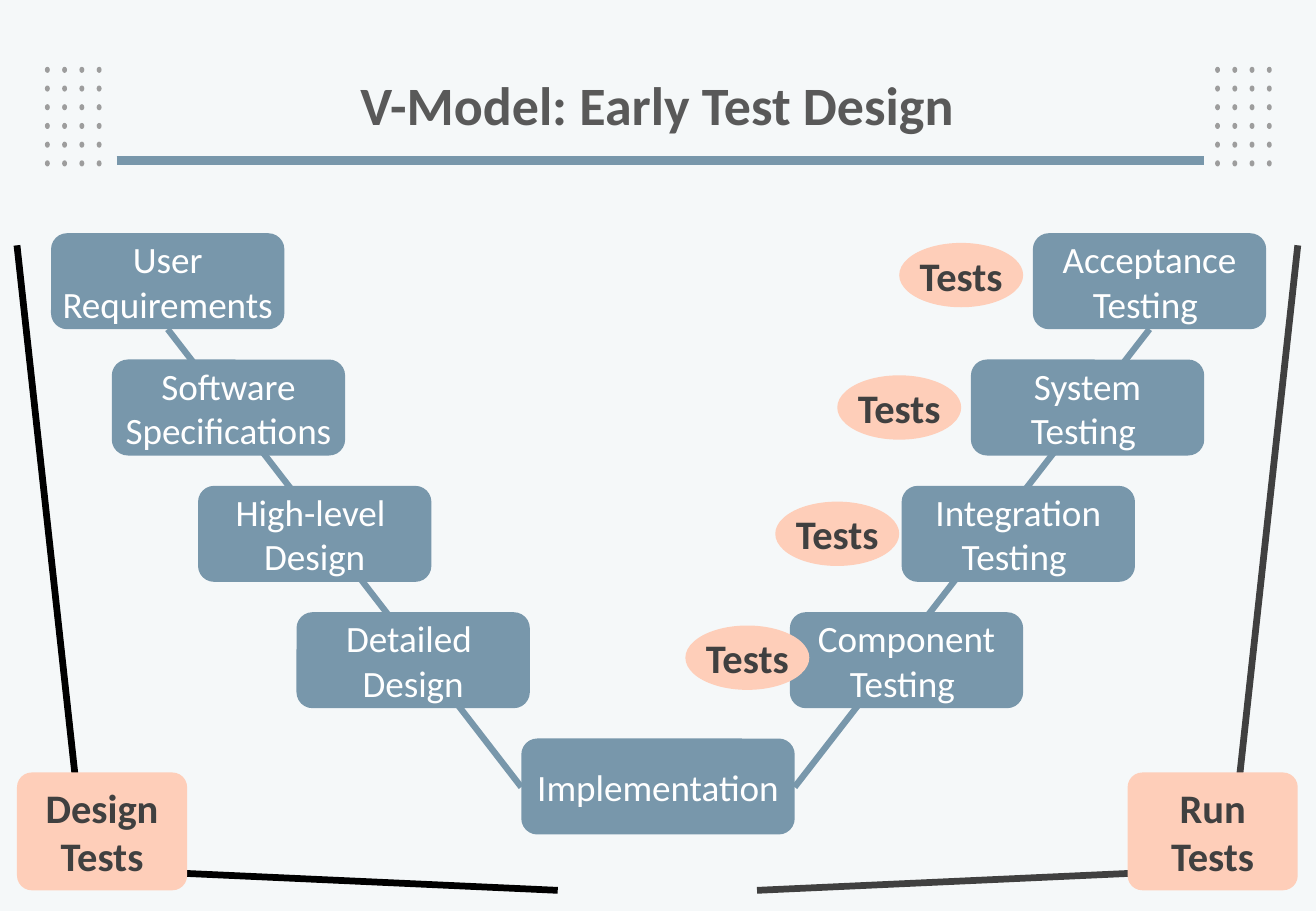
from itertools import product

from lxml.etree import SubElement
from pptx import Presentation
from pptx.dml.color import RGBColor
from pptx.enum.shapes import MSO_CONNECTOR, MSO_SHAPE
from pptx.enum.text import MSO_ANCHOR, MSO_AUTO_SIZE, PP_ALIGN
from pptx.oxml.ns import qn
from pptx.util import Inches, Pt

COLORS = {
    "background": "F5F8F9",
    "dot": "9D9D9D",
    "stage": "7897AB",
    "tests": "FECEB9",
    "title": "595959",
    "dark": "404040",
    "black": "000000",
    "white": "FFFFFF",
}
FONT = "Calibri"
STAGE_TOP, STAGE_STEP = 1.92, 1.04
STAGE_WIDTH, STAGE_HEIGHT = 1.92, 0.79

DESIGN_STAGES = [
    (0.42, ["User Requirements"]),
    (0.92, ["Software Specifications"]),
    (1.63, ["High-level ", "Design"]),
    (2.44, ["Detailed ", "Design"]),
]
TESTING_STAGES = [
    (8.5, ["Acceptance", "Testing "]),
    (7.99, ["System", "Testing "]),
    (7.42, ["Integration", "Testing "]),
    (6.5, ["Component", "Testing "]),
]
TEST_OVALS = [(7.4, 2), (6.89, 3.09), (6.38, 4.13), (5.64, 5.15)]


def rgb(name):
    return RGBColor.from_string(COLORS[name])


def style_paragraph(p, size, color, bold):
    p.alignment = PP_ALIGN.CENTER
    p.font.name = FONT
    p.font.size = Pt(size)
    p.font.bold = bold
    p.font.color.rgb = rgb(color)


def add_filled(s, kind, left, top, width, height, color):
    sp = s.shapes.add_shape(kind, Inches(left), Inches(top), Inches(width), Inches(height))
    sp.shadow.inherit = False
    sp.fill.solid()
    sp.fill.fore_color.rgb = rgb(color)
    sp.line.fill.background()
    return sp


def add_line(s, start, end, color, width):
    line = s.shapes.add_connector(MSO_CONNECTOR.STRAIGHT, *map(Inches, start + end))
    line.line.color.rgb = rgb(color)
    line.line.width = Pt(width)
    SubElement(line._element.spPr, qn("a:effectLst"))


def set_text(sp, lines, size, color, bold, wrap, margin_x, margin_y):
    tf = sp.text_frame
    tf.word_wrap = wrap
    tf.vertical_anchor = MSO_ANCHOR.MIDDLE
    tf.margin_left = tf.margin_right = Inches(margin_x)
    tf.margin_top = tf.margin_bottom = Inches(margin_y)
    tf.text = "\n".join(lines)
    for p in tf.paragraphs:
        style_paragraph(p, size, color, bold)


def add_stage(s, left, row, lines, width=STAGE_WIDTH):
    top = STAGE_TOP + row * STAGE_STEP
    sp = add_filled(s, MSO_SHAPE.ROUNDED_RECTANGLE, left, top, width, STAGE_HEIGHT, "stage")
    set_text(sp, lines, 22, "white", False, True, 0, 0.04)


def add_tests_label(s, kind, left, top, width, height, lines):
    sp = add_filled(s, kind, left, top, width, height, "tests")
    set_text(sp, lines, 24, "dark", True, False, 0.1, 0.05)
    return sp


def add_phase(s, left, lines, color, base, side):
    add_line(s, *base, color, 4)
    add_line(s, *side, color, 4)
    sp = add_tests_label(s, MSO_SHAPE.ROUNDED_RECTANGLE, left, 6.36, 1.4, 0.97, lines)
    sp.adjustments[0] = 0.125


def add_dots(s, left):
    for row, col in product(range(6), range(4)):
        add_filled(s, MSO_SHAPE.OVAL, left + col * 0.142, 0.55 + row * 0.154, 0.04, 0.05, "dot")


def add_title(s, text):
    sp = s.shapes.title
    sp.left, sp.top, sp.width, sp.height = map(Inches, (0.74, 0.4, 9.34, 0.98))
    set_text(sp, [text], 32, "title", True, True, 0.1, 0.05)
    sp.text_frame.auto_size = MSO_AUTO_SIZE.NONE
    sp.text_frame.paragraphs[0].line_spacing = 0.9


def main():
    prs = Presentation()
    prs.slide_width, prs.slide_height = Inches(10.83), Inches(7.5)
    s = prs.slides.add_slide(prs.slide_layouts[5])
    s.background.fill.solid()
    s.background.fill.fore_color.rgb = rgb("background")

    add_title(s, "V-Model: Early Test Design")
    for left in (0.37, 10):
        add_dots(s, left)
    add_line(s, (0.96, 1.32), (9.91, 1.32), "stage", 5.25)

    add_line(s, (1.38, 2.71), (4.29, 6.48), "stage", 3.75)
    add_line(s, (9.46, 2.71), (6.54, 6.48), "stage", 3.75)
    for stages in (DESIGN_STAGES, TESTING_STAGES):
        for row, (left, lines) in enumerate(stages):
            add_stage(s, left, row, lines)
    add_stage(s, 4.29, 4, ["Implementation"], 2.25)
    for left, top in TEST_OVALS:
        add_tests_label(s, MSO_SHAPE.OVAL, left, top, 1.02, 0.53, ["Tests"])

    add_phase(s, 9.28, ["Run", "Tests"], "dark",
              ((6.23, 7.33), (9.75, 7.17)), ((10.17, 6.68), (10.68, 2.02)))
    add_phase(s, 0.14, ["Design", "Tests"], "black",
              ((4.59, 7.33), (1.07, 7.17)), ((0.65, 6.68), (0.14, 2.02)))
    prs.save("out.pptx")


if __name__ == "__main__":
    main()
